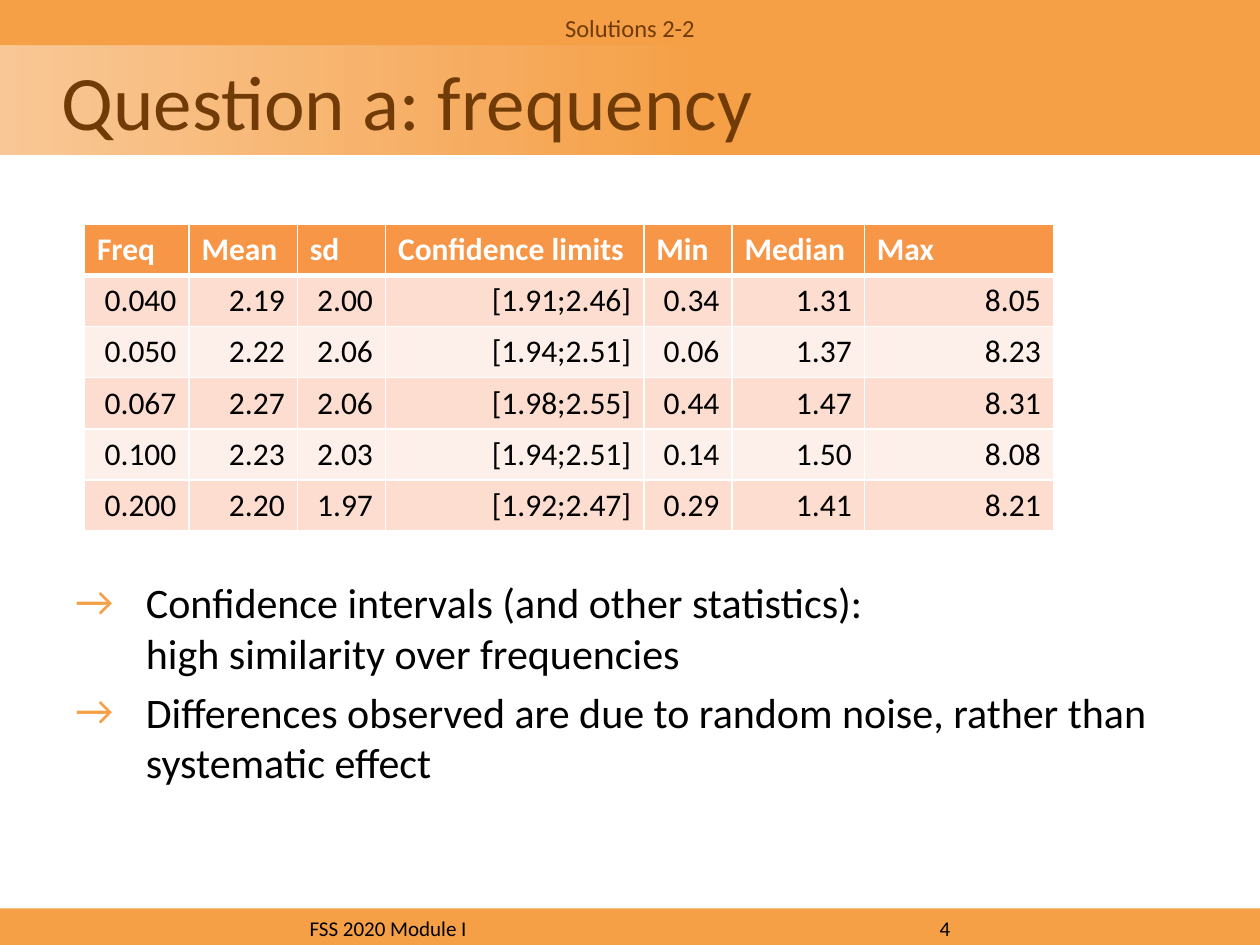
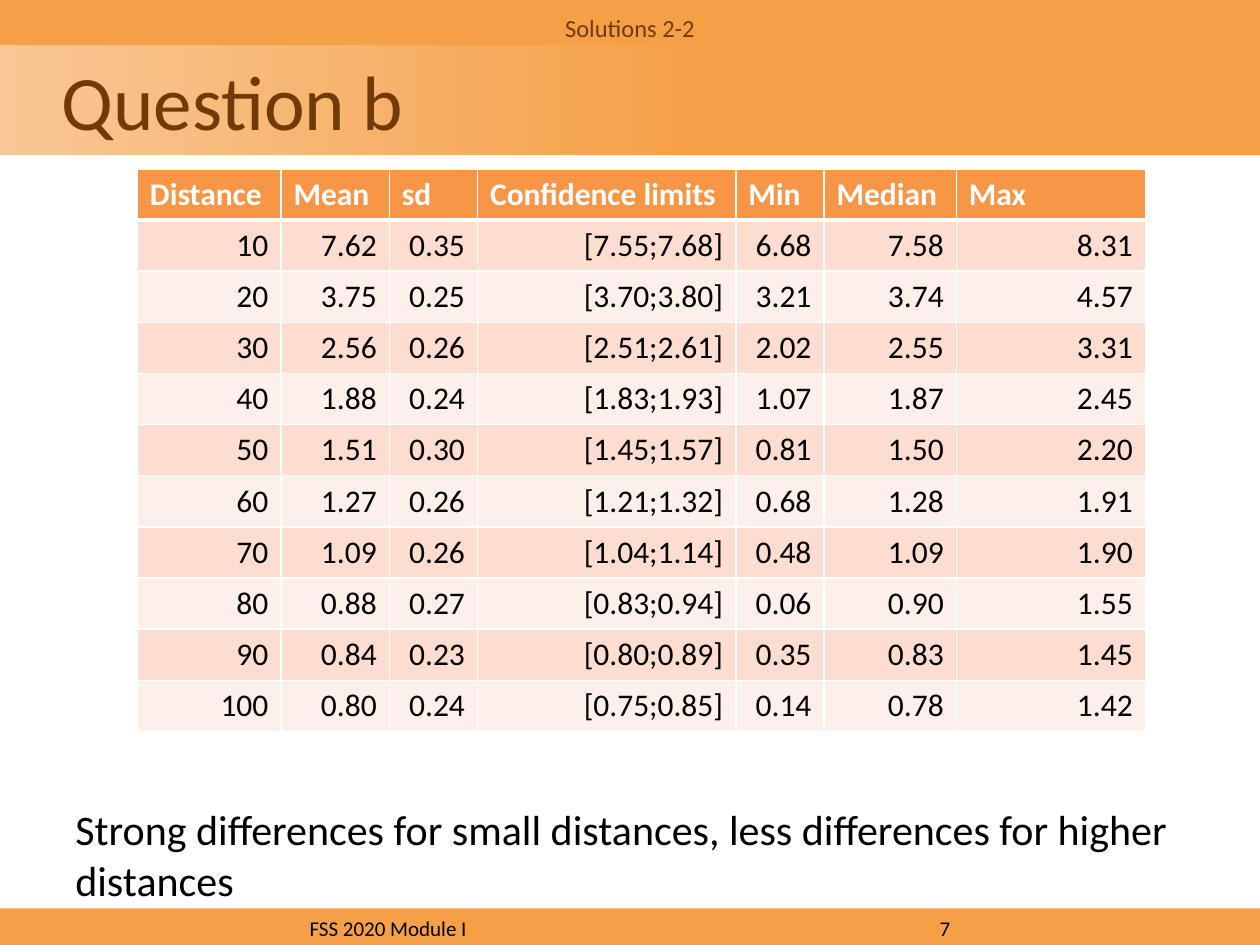
from dataclasses import dataclass

from lxml import etree
from pptx import Presentation
from pptx.dml.color import RGBColor
from pptx.enum.shapes import MSO_SHAPE
from pptx.enum.text import MSO_ANCHOR, PP_ALIGN
from pptx.oxml.ns import qn
from pptx.util import Emu, Inches, Pt

RECTANGLE = MSO_SHAPE.RECTANGLE
MIDDLE = MSO_ANCHOR.MIDDLE
LEFT, CENTER, RIGHT = PP_ALIGN.LEFT, PP_ALIGN.CENTER, PP_ALIGN.RIGHT

# Grid: 100 columns by 75 rows on a 10 x 7.5 inch slide
SLIDE_WIDTH, SLIDE_HEIGHT = Inches(10), Inches(7.5)
UNIT = SLIDE_WIDTH // 100
TITLE_ONLY = 5


@dataclass(frozen=True)
class Theme:
    font: str = "Calibri"
    band: str = "F5A047"
    band_light: str = "F9C795"
    brown: str = "703B06"
    black: str = "000000"
    white: str = "FFFFFF"
    header: str = "F79646"
    stripes: tuple = ("FCDDCF", "FDEFE9")
    title_size: int = 44
    body_size: int = 24
    table_size: int = 18
    running_size: int = 14
    footer_size: int = 12


@dataclass(frozen=True)
class Box:
    """An area in grid columns and rows."""
    left: float
    top: float
    width: float
    height: float

    def lengths(self):
        return [units(n) for n in (self.left, self.top, self.width, self.height)]


THEME = Theme()
TOP_BAND = Box(0, 0, 100, 3.6)
RUNNING_HEAD = Box(0, 0.5, 100, 3.8)
TITLE_BAND = Box(0, 3.6, 100, 8.7)
FOOTER_BAND = Box(0, 72.1, 100, 3.1)
TITLE_INDENT = 4.9
BULLET_INDENT = 5.6
PAGE_NUMBER_TAB = 50
ROW_HEIGHT = 4.06
STATISTICS = ["Mean", "sd", "Confidence limits", "Min", "Median", "Max"]
STATISTIC_WIDTHS = [8.6, 7, 20.5, 7, 10.5, 15]

FREQUENCY_ROWS = [
    ["0.040", "2.19", "2.00", "[1.91;2.46]", "0.34", "1.31", "8.05"],
    ["0.050", "2.22", "2.06", "[1.94;2.51]", "0.06", "1.37", "8.23"],
    ["0.067", "2.27", "2.06", "[1.98;2.55]", "0.44", "1.47", "8.31"],
    ["0.100", "2.23", "2.03", "[1.94;2.51]", "0.14", "1.50", "8.08"],
    ["0.200", "2.20", "1.97", "[1.92;2.47]", "0.29", "1.41", "8.21"],
]
DISTANCE_ROWS = [
    ["10", "7.62", "0.35", "[7.55;7.68]", "6.68", "7.58", "8.31"],
    ["20", "3.75", "0.25", "[3.70;3.80]", "3.21", "3.74", "4.57"],
    ["30", "2.56", "0.26", "[2.51;2.61]", "2.02", "2.55", "3.31"],
    ["40", "1.88", "0.24", "[1.83;1.93]", "1.07", "1.87", "2.45"],
    ["50", "1.51", "0.30", "[1.45;1.57]", "0.81", "1.50", "2.20"],
    ["60", "1.27", "0.26", "[1.21;1.32]", "0.68", "1.28", "1.91"],
    ["70", "1.09", "0.26", "[1.04;1.14]", "0.48", "1.09", "1.90"],
    ["80", "0.88", "0.27", "[0.83;0.94]", "0.06", "0.90", "1.55"],
    ["90", "0.84", "0.23", "[0.80;0.89]", "0.35", "0.83", "1.45"],
    ["100", "0.80", "0.24", "[0.75;0.85]", "0.14", "0.78", "1.42"],
]


def units(count):
    return Emu(round(count * UNIT))


def color(value):
    return RGBColor.from_string(value)


def add_run(paragraph, text, size, text_color, bold=False):
    run = paragraph.add_run()
    run.text = text
    run.font.name = THEME.font
    run.font.size = Pt(size)
    run.font.bold = bold
    run.font.color.rgb = color(text_color)


def add_band(slide, box):
    band = slide.shapes.add_shape(RECTANGLE, *box.lengths())
    band.shadow.inherit = False
    band.fill.solid()
    band.fill.fore_color.rgb = color(THEME.band)
    band.line.fill.background()
    return band


def add_text_box(slide, box):
    frame = slide.shapes.add_textbox(*box.lengths()).text_frame
    frame.word_wrap = True
    return frame


# Header: top band, gradient title, running head
def add_header(slide, title_text):
    add_band(slide, TOP_BAND)
    title = slide.shapes.title
    title.left, title.top, title.width, title.height = TITLE_BAND.lengths()
    title.fill.gradient()
    title.fill.gradient_angle = 0
    start, end = title.fill.gradient_stops
    start.color.rgb, start.position = color(THEME.band_light), 0
    end.color.rgb, end.position = color(THEME.band), 0.56
    frame = title.text_frame
    frame.vertical_anchor = MIDDLE
    frame.margin_left = units(TITLE_INDENT)
    paragraph = frame.paragraphs[0]
    paragraph.alignment = LEFT
    add_run(paragraph, title_text, THEME.title_size, THEME.brown)

    paragraph = add_text_box(slide, RUNNING_HEAD).paragraphs[0]
    paragraph.alignment = CENTER
    add_run(paragraph, "Solutions 2-2", THEME.running_size, THEME.brown)


# Footer: course name and page number, set apart by a tab stop
def add_footer(slide, page_number):
    frame = add_band(slide, FOOTER_BAND).text_frame
    frame.vertical_anchor = MIDDLE
    paragraph = frame.paragraphs[0]
    paragraph.alignment = CENTER
    tabs = etree.SubElement(paragraph._p.get_or_add_pPr(), qn("a:tabLst"))
    etree.SubElement(tabs, qn("a:tab"), pos=str(units(PAGE_NUMBER_TAB)), algn="l")
    add_run(paragraph, f"FSS 2020 Module I\t{page_number}",
            THEME.footer_size, THEME.black)


def add_cell_borders(cell, widths):
    properties = cell._tc.get_or_add_tcPr()
    for side, width in zip("LRTB", widths):
        line = etree.SubElement(properties, qn(f"a:ln{side}"), w=str(Pt(width)))
        fill = etree.SubElement(line, qn("a:solidFill"))
        etree.SubElement(fill, qn("a:srgbClr"), val=THEME.white)


# Statistics table: header row over striped rows
def add_statistics_table(slide, left, top, key_name, key_width, rows):
    column_widths = [key_width, *STATISTIC_WIDTHS]
    cells = [[key_name, *STATISTICS], *rows]
    box = Box(left, top, sum(column_widths), ROW_HEIGHT * len(cells))
    table = slide.shapes.add_table(
        len(cells), len(column_widths), *box.lengths()).table
    for column, width in zip(table.columns, column_widths):
        column.width = units(width)
    for row_index, row in enumerate(cells):
        table.rows[row_index].height = units(ROW_HEIGHT)
        is_header = row_index == 0
        fill = THEME.header if is_header else THEME.stripes[(row_index - 1) % 2]
        top_width = 3 if row_index == 1 else 1
        bottom_width = 3 if is_header else 1
        for column_index, text in enumerate(row):
            cell = table.cell(row_index, column_index)
            add_cell_borders(cell, (1, 1, top_width, bottom_width))
            cell.fill.solid()
            cell.fill.fore_color.rgb = color(fill)
            paragraph = cell.text_frame.paragraphs[0]
            paragraph.alignment = LEFT if is_header else RIGHT
            add_run(paragraph, text, THEME.table_size,
                    THEME.white if is_header else THEME.black, is_header)


def add_arrow_bullet(paragraph):
    properties = paragraph._p.get_or_add_pPr()
    indent = units(BULLET_INDENT)
    properties.set("marL", str(indent))
    properties.set("indent", str(-indent))
    bullet_color = etree.SubElement(properties, qn("a:buClr"))
    etree.SubElement(bullet_color, qn("a:srgbClr"), val=THEME.band)
    etree.SubElement(properties, qn("a:buFont"), typeface=THEME.font)
    etree.SubElement(properties, qn("a:buChar"), char="→")


# Conclusions: each one a list of lines
def add_conclusions(slide, box, conclusions, bulleted):
    frame = add_text_box(slide, box)
    for index, lines in enumerate(conclusions):
        paragraph = frame.add_paragraph() if index else frame.paragraphs[0]
        paragraph.space_after = Pt(0.2 * THEME.body_size)
        if bulleted:
            add_arrow_bullet(paragraph)
        for line_index, line in enumerate(lines):
            if line_index:
                paragraph.add_line_break()
            add_run(paragraph, line, THEME.body_size, THEME.black)


def add_question_slide(presentation, title, page_number, table, conclusions):
    slide = presentation.slides.add_slide(presentation.slide_layouts[TITLE_ONLY])
    add_header(slide, title)
    add_conclusions(slide, **conclusions)
    add_footer(slide, page_number)
    add_statistics_table(slide, **table)


def main():
    presentation = Presentation()
    presentation.slide_width, presentation.slide_height = SLIDE_WIDTH, SLIDE_HEIGHT
    add_question_slide(
        presentation, "Question a: frequency", 4,
        table=dict(left=6.7, top=17.8, key_name="Freq", key_width=8.3,
                   rows=FREQUENCY_ROWS),
        conclusions=dict(
            box=Box(5, 45.3, 90, 23.2), bulleted=True,
            conclusions=[
                ["Confidence intervals (and other statistics): ",
                 "high similarity over frequencies"],
                ["Differences observed are due to random noise, "
                 "rather than systematic effect"],
            ]))
    add_question_slide(
        presentation, "Question b", 7,
        table=dict(left=10.9, top=13.4, key_name="Distance", key_width=11.4,
                   rows=DISTANCE_ROWS),
        conclusions=dict(
            box=Box(5, 63.3, 90, 8.8), bulleted=False,
            conclusions=[["Strong differences for small distances, "
                          "less differences for higher distances"]]))
    presentation.save("out.pptx")


if __name__ == "__main__":
    main()
